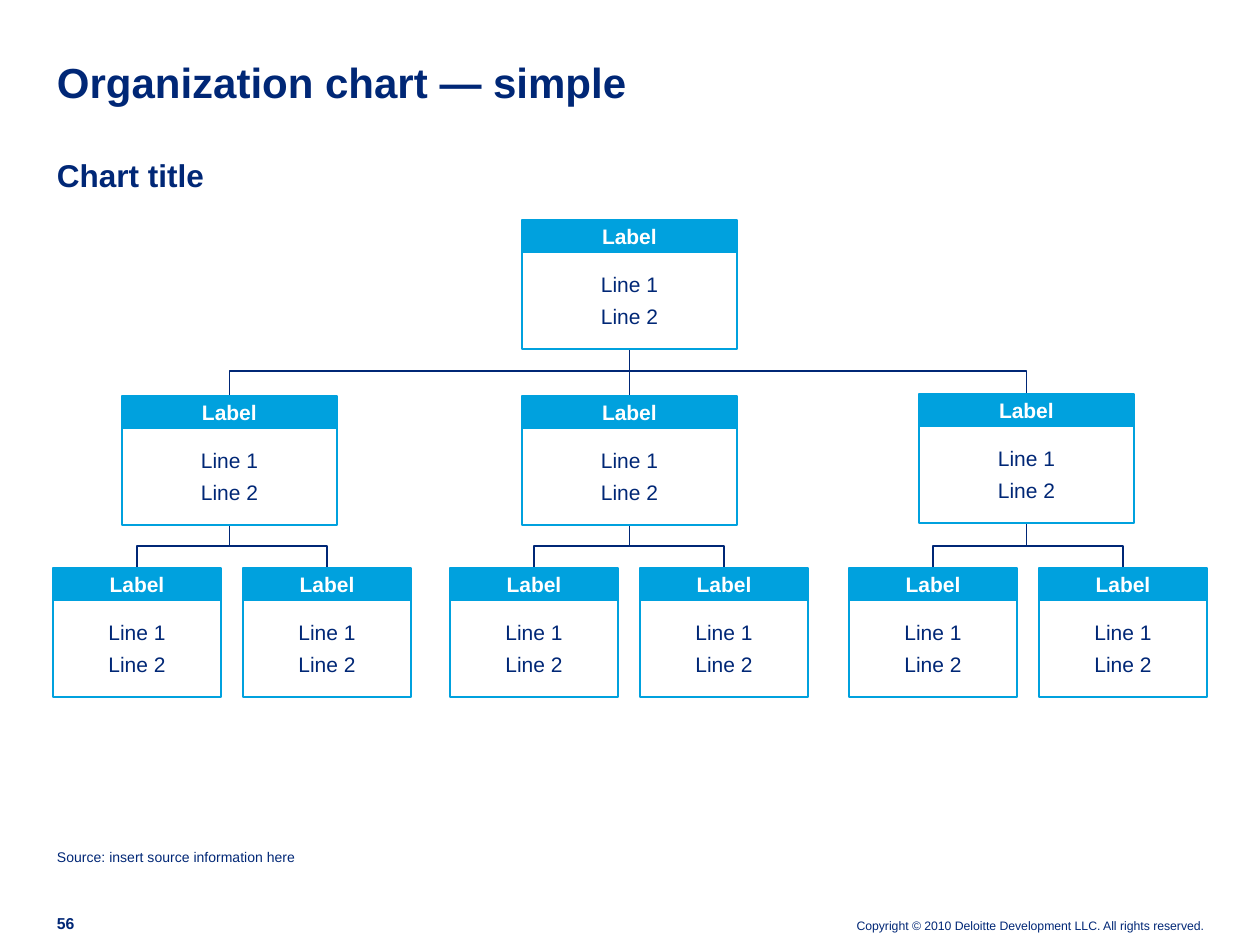
from dataclasses import dataclass

from lxml import etree
from pptx import Presentation
from pptx.dml.color import RGBColor
from pptx.enum.shapes import MSO_CONNECTOR, MSO_SHAPE
from pptx.enum.text import MSO_ANCHOR, PP_ALIGN
from pptx.oxml.ns import qn
from pptx.util import Emu, Pt

RECTANGLE = MSO_SHAPE.RECTANGLE
ELBOW, STRAIGHT = MSO_CONNECTOR.ELBOW, MSO_CONNECTOR.STRAIGHT
TOP, MIDDLE, BOTTOM = MSO_ANCHOR.TOP, MSO_ANCHOR.MIDDLE, MSO_ANCHOR.BOTTOM
LEFT, CENTER, RIGHT = PP_ALIGN.LEFT, PP_ALIGN.CENTER, PP_ALIGN.RIGHT

PX_PER_INCH = 126
LABEL_HEIGHT, BODY_HEIGHT = 32, 97
TEXT_INSET = 5


@dataclass(frozen=True)
class Theme:
    font: str = "Arial"
    navy: RGBColor = RGBColor(0x00, 0x27, 0x76)
    cyan: RGBColor = RGBColor(0x00, 0xA1, 0xDE)
    white: RGBColor = RGBColor(0xFF, 0xFF, 0xFF)
    title: int = 24
    subtitle: int = 18
    node: int = 12
    page_number: int = 9
    source: int = 8
    copyright: int = 7
    line: int = 1


THEME = Theme()


@dataclass(frozen=True)
class Box:
    left: int
    top: int
    width: int
    height: int = LABEL_HEIGHT + BODY_HEIGHT

    @property
    def center(self):
        return self.left + self.width / 2

    @property
    def bottom(self):
        return self.top + self.height

    def emu(self):
        return [px(n) for n in (self.left, self.top, self.width, self.height)]


def px(length):
    return Emu(round(length * 914400 / PX_PER_INCH))


def write(shape, text, size, color, bold=False, align=LEFT, anchor=TOP, inset=0):
    frame = shape.text_frame
    frame.word_wrap = True
    frame.vertical_anchor = anchor
    frame.margin_left = frame.margin_right = px(inset)
    frame.margin_top = frame.margin_bottom = px(inset)
    frame.text = text
    for index, para in enumerate(frame.paragraphs):
        para.alignment = align
        if index:
            para.space_before = Pt(4)
        for span in para.runs:
            span.font.name = THEME.font
            span.font.size = Pt(size)
            span.font.bold = bold
            span.font.color.rgb = color
    return frame


def add_text(page, box, text, size, **style):
    shape = page.shapes.add_textbox(*box.emu())
    return write(shape, text, size, THEME.navy, **style)


def add_panel(page, box, text, color, fill=None, bold=False):
    panel = page.shapes.add_shape(RECTANGLE, *box.emu())
    panel.shadow.inherit = False
    if fill is None:
        panel.fill.background()
    else:
        panel.fill.solid()
        panel.fill.fore_color.rgb = fill
    panel.line.color.rgb = THEME.cyan
    panel.line.width = Pt(THEME.line)
    write(panel, text, THEME.node, color, bold, CENTER, MIDDLE, TEXT_INSET)


def add_node(page, box):
    label = Box(box.left, box.top, box.width, LABEL_HEIGHT)
    body = Box(box.left, label.bottom, box.width, box.height - LABEL_HEIGHT)
    add_panel(page, label, "Label", THEME.white, THEME.cyan, True)
    add_panel(page, body, "Line 1\nLine 2", THEME.navy)


def add_line(page, kind, *ends):
    line = page.shapes.add_connector(kind, *map(px, ends))
    line.line.color.rgb = THEME.navy
    line.line.width = Pt(THEME.line)
    etree.SubElement(line._element.spPr, qn("a:effectLst"))
    return line


def link(page, parent, child, bar):
    """Join parent to child; an elbow turns at the height of the bar."""
    if parent.center == child.center:
        add_line(page, STRAIGHT, parent.center, parent.bottom, child.center, child.top)
        return
    # An elbow runs sideways, so it is laid out flat and then turned upright
    to_left = child.center < parent.center
    middle_x = (parent.center + child.center) / 2
    middle_y = (parent.bottom + child.top) / 2
    drop = child.top - parent.bottom
    half_run = abs(child.center - parent.center) / 2
    half_drop = drop / 2 if to_left else -drop / 2
    elbow = add_line(page, ELBOW, middle_x - half_drop, middle_y - half_run,
                     middle_x + half_drop, middle_y + half_run)
    properties = elbow._element.spPr
    properties.find(qn("a:xfrm")).set("rot", "5400000" if to_left else "16200000")
    guides = properties.find(qn("a:prstGeom")).get_or_add_avLst()
    turn = round((bar - parent.bottom) / drop * 100000)
    etree.SubElement(guides, qn("a:gd"), name="adj1", fmla=f"val {turn}")


def add_heading(page, box):
    title = Box(box.left, box.top, box.width, 45)
    frame = add_text(page, title, "Organization chart — simple", THEME.title,
                     bold=True, anchor=BOTTOM)
    frame.paragraphs[0].line_spacing = Pt(26)
    subtitle = Box(box.left, box.top + 94, 270, 38)
    add_text(page, subtitle, "Chart title", THEME.subtitle, bold=True)


def add_chart_tree(page, box):
    manager_width, staff_width = 215, 168
    root = Box(box.left + 469, box.top, manager_width)
    managers = [Box(box.left + x, box.top + y, manager_width)
                for x, y in ((69, 176), (469, 176), (866, 174))]
    staff = [Box(box.left + x + step, box.top + 348, staff_width)
             for x in (0, 397, 796) for step in (0, 190)]

    # Lines first, so the boxes cover their ends
    for index, manager in enumerate(managers):
        link(page, root, manager, box.top + 151)
        for member in staff[2 * index:2 * index + 2]:
            link(page, manager, member, box.top + 326)
    for node in [root, *managers, *staff]:
        add_node(page, node)


def add_footer(page, box):
    source = Box(box.left, box.top, 550, 18)
    add_text(page, source, "Source: insert source information here", THEME.source)
    number = Box(box.left, box.bottom - 19, 37, 19)
    add_text(page, number, "56", THEME.page_number, bold=True, anchor=BOTTOM)
    rights = Box(box.left + box.width - 382, box.bottom - 16, 382, 16)
    add_text(page, rights,
             "Copyright © 2010 Deloitte Development LLC. All rights reserved.",
             THEME.copyright, align=RIGHT, anchor=BOTTOM)


def main():
    deck = Presentation()
    deck.slide_width, deck.slide_height = px(1260), px(945)
    page = deck.slides.add_slide(deck.slide_layouts[6])
    add_heading(page, Box(57, 62, 1148, 132))
    add_chart_tree(page, Box(53, 220, 1154, 477))
    add_footer(page, Box(57, 848, 1147, 85))
    deck.save("out.pptx")


if __name__ == "__main__":
    main()
